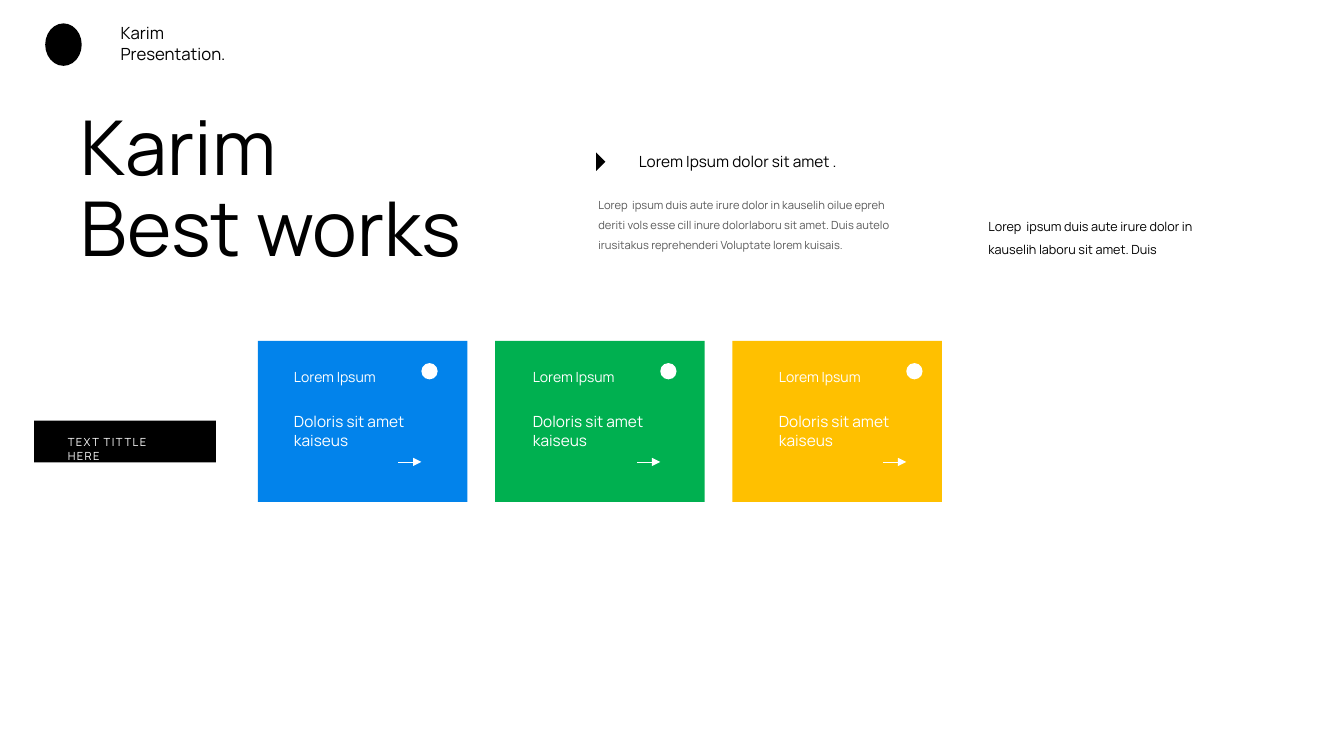
from lxml.etree import SubElement
from pptx import Presentation
from pptx.dml.color import RGBColor
from pptx.enum.shapes import MSO_CONNECTOR, MSO_SHAPE
from pptx.enum.text import MSO_ANCHOR, MSO_AUTO_SIZE, PP_ALIGN
from pptx.oxml.ns import qn
from pptx.util import Cm, Pt

HUES = {
    "black": "000000", "white": "FFFFFF", "grey": "595959",
    "blue": "0283EB", "green": "00B050", "gold": "FFC000",
}
FACE = "Manrope"


def tint(name):
    return RGBColor.from_string(HUES[name])


def write(frame, lines, size, hue, lead=1.0):
    frame.word_wrap = True
    frame.vertical_anchor = MSO_ANCHOR.TOP
    frame.text = "\n".join(lines)
    for para in frame.paragraphs:
        para.alignment = PP_ALIGN.LEFT
        para.line_spacing = lead
        font = para.font
        font.name, font.size = FACE, Pt(size)
        font.color.rgb = tint(hue)


def label(slide, box, lines, size, hue, lead=1.0):
    item = slide.shapes.add_textbox(*map(Cm, box))
    write(item.text_frame, lines, size, hue, lead)
    return item


def block(slide, kind, box, hue):
    item = slide.shapes.add_shape(kind, *map(Cm, box))
    item.shadow.inherit = False
    item.fill.solid()
    item.fill.fore_color.rgb = tint(hue)
    item.line.fill.background()
    return item


def arrow(slide, x, y, width):
    link = slide.shapes.add_connector(
        MSO_CONNECTOR.STRAIGHT, Cm(x), Cm(y), Cm(x + width), Cm(y))
    link.line.color.rgb = tint("white")
    link.line.width = Pt(0.5)
    SubElement(link.line._get_or_add_ln(), qn("a:tailEnd"), type="triangle")
    SubElement(link._element.spPr, qn("a:effectLst"))


def header(slide, x, y, width, height):
    block(slide, MSO_SHAPE.OVAL, (x, y + 0.13, 0.92, 1.07), "black")
    label(slide, (x + 1.65, y, width - 1.65, height),
          ["Karim", "Presentation."], 12, "black")


def heading(slide, x, y, width, height):
    title = slide.shapes.title
    title.left, title.top = Cm(x), Cm(y)
    title.width, title.height = Cm(width), Cm(height)
    write(title.text_frame, ["Karim", "Best works"], 54, "black", 0.9)
    title.text_frame.auto_size = MSO_AUTO_SIZE.NONE


def intro(slide, x, y, width, height):
    mark = block(slide, MSO_SHAPE.RIGHT_TRIANGLE,
                 (x + 0.03, y + 0.2, 0.33, 0.33), "black")
    mark.rotation = 225
    label(slide, (x + 1.02, y, 6.35, 0.74),
          ["Lorem Ipsum dolor sit amet ."], 11, "black")
    label(slide, (x, y + 0.99, width, height - 0.99), [
        "Lorep  ipsum duis aute irure dolor in kauselih oilue epreh",
        "deriti vols esse cill inure dolorlaboru sit amet. Duis autelo "
        "irusitakus reprehenderi Voluptate lorem kuisais.",
    ], 8, "grey", 1.5)


def aside(slide, x, y, width, height):
    label(slide, (x, y, width, height), [
        "Lorep  ipsum duis aute irure dolor in kauselih laboru sit amet. Duis",
    ], 9, "black", 1.5)


def tag(slide, x, y, width, height):
    block(slide, MSO_SHAPE.RECTANGLE, (x, y, width, height), "black")
    item = label(slide, (x + 0.6, y + 0.25, 3.38, 0.61),
                 ["TEXT TITTLE HERE"], 8, "white")
    for run in item.text_frame.paragraphs[0].runs:
        run.font._element.set("spc", "100")


def card(slide, x, y, width, height, hue, inset):
    block(slide, MSO_SHAPE.RECTANGLE, (x, y, width, height), hue)
    left = x + inset
    label(slide, (left, y + 0.56, 3.45, 0.69), ["Lorem Ipsum"], 10, "white")
    label(slide, (left, y + 1.68, 3.45, 1.68),
          ["Doloris sit amet", "kaiseus"], 11, "white")
    arrow(slide, left + 2.88, y + 3.05, 0.58)
    block(slide, MSO_SHAPE.OVAL, (left + 3.46, y + 0.56, 0.41, 0.41), "white")


def main():
    deck = Presentation()
    deck.slide_width, deck.slide_height = Cm(33.87), Cm(19.05)
    slide = deck.slides.add_slide(deck.slide_layouts[5])
    header(slide, 1.14, 0.46, 4.98, 1.27)
    heading(slide, 1.78, 2.64, 10.97, 4.42)
    intro(slide, 14.83, 3.71, 8.76, 2.74)
    aside(slide, 24.66, 5.21, 6.78, 1.35)
    tag(slide, 0.86, 10.6, 4.58, 1.05)
    cards = [("blue", 0.66), ("green", 0.7), ("gold", 0.92)]
    for place, (hue, inset) in enumerate(cards):
        card(slide, 6.5 + place * 5.98, 8.59, 5.28, 4.06, hue, inset)
    deck.save("out.pptx")


if __name__ == "__main__":
    main()
